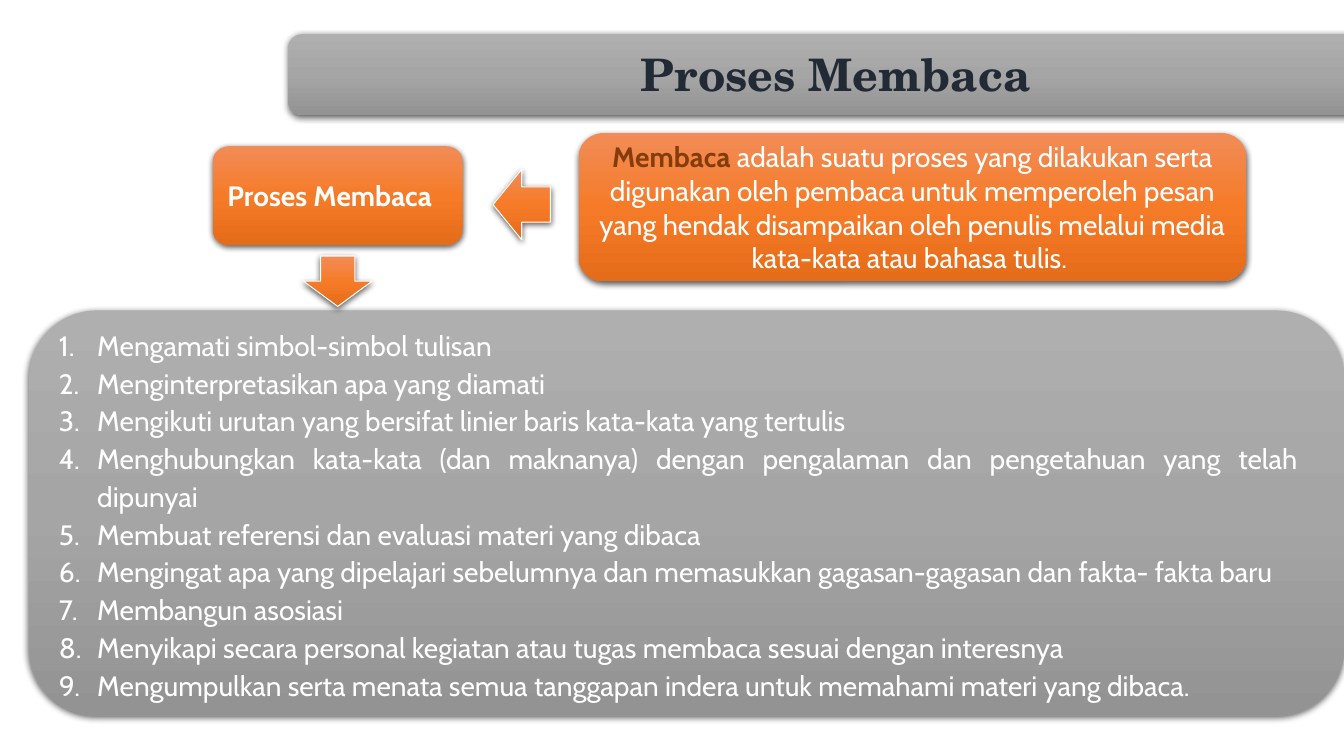
from copy import deepcopy

from lxml import etree
from pptx import Presentation
from pptx.dml.color import RGBColor
from pptx.enum.shapes import MSO_SHAPE
from pptx.enum.text import MSO_ANCHOR, PP_ALIGN
from pptx.oxml import parse_xml
from pptx.oxml.ns import nsdecls, qn
from pptx.util import Inches, Pt

ROUNDED = MSO_SHAPE.ROUNDED_RECTANGLE
DOWN, LEFT_ARROW = MSO_SHAPE.DOWN_ARROW, MSO_SHAPE.LEFT_ARROW
TOP, MIDDLE = MSO_ANCHOR.TOP, MSO_ANCHOR.MIDDLE
LEFT, CENTER, JUSTIFY = PP_ALIGN.LEFT, PP_ALIGN.CENTER, PP_ALIGN.JUSTIFY

WHITE = RGBColor(0xFF, 0xFF, 0xFF)
NAVY = RGBColor(0x22, 0x2A, 0x35)
BROWN = RGBColor(0x84, 0x3C, 0x0B)
GRAY = [RGBColor(0xAF, 0xAF, 0xAF), RGBColor(0xA5, 0xA5, 0xA5), RGBColor(0x93, 0x93, 0x93)]
ORANGE = [RGBColor(0xF1, 0x8C, 0x57), RGBColor(0xF6, 0x7B, 0x28), RGBColor(0xE5, 0x6C, 0x19)]

BANNER = [Inches(length) for length in (2.86, 0.34, 10.86, 0.8)]
STEPS = [
    "Mengamati simbol-simbol tulisan",
    "Menginterpretasikan apa yang diamati",
    "Mengikuti urutan yang bersifat linier baris kata-kata yang tertulis",
    "Menghubungkan kata-kata (dan maknanya) dengan pengalaman dan pengetahuan yang telah dipunyai",
    "Membuat referensi dan evaluasi materi yang dibaca",
    "Mengingat apa yang dipelajari sebelumnya dan memasukkan gagasan-gagasan dan fakta- fakta baru",
    "Membangun asosiasi",
    "Menyikapi secara personal kegiatan atau tugas membaca sesuai dengan interesnya",
    "Mengumpulkan serta menata semua tanggapan indera untuk memahami materi yang dibaca.",
]


def paint(shape, colors):
    """Vertical three-stop gradient, no outline, soft shadow below."""
    shape.fill.gradient()
    shape.fill.gradient_angle = 270
    stop_list = shape._element.spPr.find(qn("a:gradFill")).find(qn("a:gsLst"))
    stop_list.insert(1, deepcopy(stop_list[0]))
    for stop, position, color in zip(shape.fill.gradient_stops, (0, 0.5, 1), colors):
        stop.position = position
        stop.color.rgb = color
    shape.line.fill.background()
    shape.shadow.inherit = False
    shape._element.spPr.find(qn("a:effectLst")).append(parse_xml(
        f'<a:outerShdw {nsdecls("a")} blurRad="57150" dist="19050" dir="5400000" '
        'algn="ctr" rotWithShape="0"><a:srgbClr val="000000">'
        '<a:alpha val="63000"/></a:srgbClr></a:outerShdw>'))


def write(paragraph, text, color, bold=False, size=20, face="Cabin"):
    run = paragraph.add_run()
    run.text = text
    run.font.color.rgb = color
    for key, value in {"name": face, "size": Pt(size), "bold": bold}.items():
        setattr(run.font, key, value)


prs = Presentation()
prs.slide_width, prs.slide_height = Inches(13.33), Inches(7.5)
slide = prs.slides.add_slide(prs.slide_layouts[5])

# Title on a banner that runs off the right edge
title = slide.shapes.title
banner = slide.shapes.add_shape(ROUNDED, *BANNER)
paint(banner, GRAY)
title._element.addprevious(banner._element)
for side, length in zip(("left", "top", "width", "height"), BANNER):
    setattr(title, side, length)
title_format = {"vertical_anchor": TOP, "word_wrap": True, "margin_top": Inches(0.09)}
for key, value in title_format.items():
    setattr(title.text_frame, key, value)
heading = title.text_frame.paragraphs[0]
for key, value in {"alignment": CENTER, "line_spacing": 1.07, "space_after": Pt(8)}.items():
    setattr(heading, key, value)
write(heading, "Proses Membaca", NAVY, True, 32, "TeX Gyre Schola")

# Text boxes: step panel, definition, process label
frames = []
for box, colors, alignment in (
    ((0.29, 3.08, 13.04, 4.02), GRAY, JUSTIFY),
    ((5.74, 1.32, 6.62, 1.47), ORANGE, CENTER),
    ((2.11, 1.45, 2.48, 0.98), ORANGE, LEFT),
):
    panel = slide.shapes.add_shape(ROUNDED, *map(Inches, box))
    paint(panel, colors)
    panel.text_frame.word_wrap = True
    panel.text_frame.vertical_anchor = MIDDLE
    panel.text_frame.paragraphs[0].alignment = alignment
    frames.append(panel.text_frame)
steps_frame, definition_frame, label_frame = frames

# Numbered reading steps
steps_frame.margin_right = Inches(0.26)
for number, step in enumerate(STEPS):
    item = steps_frame.add_paragraph() if number else steps_frame.paragraphs[0]
    numbering = item._p.get_or_add_pPr()
    numbering.set("marL", str(Inches(0.38)))
    numbering.set("indent", str(-Inches(0.38)))
    etree.SubElement(numbering, qn("a:buFont"), typeface="+mj-lt")
    etree.SubElement(numbering, qn("a:buAutoNum"), type="arabicPeriod")
    item.alignment = JUSTIFY
    item.line_spacing = 1.12
    if number:
        item.space_before = Pt(0.1)
    write(item, step, WHITE)

# Definition and process label
definition = definition_frame.paragraphs[0]
write(definition, "Membaca ", BROWN, True)
write(definition, "adalah suatu proses yang dilakukan serta digunakan oleh pembaca untuk "
      "memperoleh pesan yang hendak disampaikan oleh penulis melalui media "
      "kata-kata atau bahasa tulis. ", WHITE)
write(label_frame.paragraphs[0], "Proses Membaca", WHITE, True)

# Block arrows: label to steps, definition to label
for direction, box in (
    (DOWN, (3.01, 2.54, 0.68, 0.5)),
    (LEFT_ARROW, (4.89, 1.68, 0.57, 0.7)),
):
    arrow = slide.shapes.add_shape(direction, *map(Inches, box))
    paint(arrow, ORANGE)
    arrow.line.color.rgb = WHITE
    arrow.line.width = Pt(0.75)

prs.save("out.pptx")
